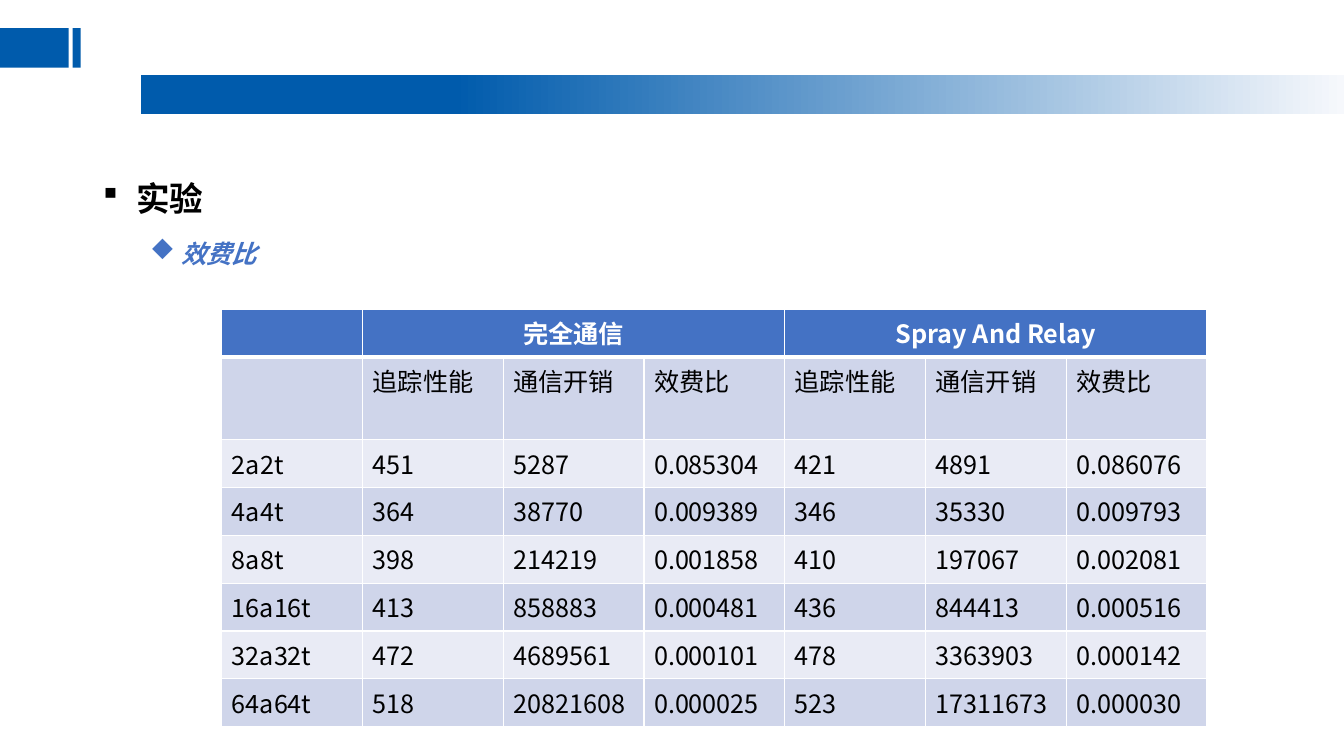
from dataclasses import dataclass

from lxml import etree
from pptx import Presentation
from pptx.dml.color import RGBColor
from pptx.enum.shapes import MSO_SHAPE
from pptx.enum.text import MSO_ANCHOR, PP_ALIGN
from pptx.oxml.ns import qn
from pptx.util import Inches, Pt

RECT = MSO_SHAPE.RECTANGLE
MIDDLE = MSO_ANCHOR.MIDDLE
LEFT, CENTER = PP_ALIGN.LEFT, PP_ALIGN.CENTER
FONT = "Noto Sans CJK SC"
NAVY, BLUE, WHITE, BLACK = "005BAC", "4472C4", "FFFFFF", "000000"
BANDS = ("CFD5EA", "E9EBF5")


@dataclass
class Bar:
    left: float
    top: float
    width: float
    height: float
    color: str
    fade: str = ""


BARS = [
    Bar(1.4, 0.74, 11.93, 0.39, NAVY, fade="F6F8FC"),
    Bar(0, 0.28, 0.68, 0.39, NAVY),
    Bar(0.72, 0.28, 0.08, 0.39, NAVY),
]
SUBTITLE_BAR = Bar(1.39, 2.31, 10.92, 0.4, WHITE)

GROUPS = ["完全通信", "Spray And Relay"]
MEASURES = ["追踪性能", "通信开销", "效费比"]
ROWS = [
    ["", *MEASURES * len(GROUPS)],
    ["2a2t", "451", "5287", "0.085304", "421", "4891", "0.086076"],
    ["4a4t", "364", "38770", "0.009389", "346", "35330", "0.009793"],
    ["8a8t", "398", "214219", "0.001858", "410", "197067", "0.002081"],
    ["16a16t", "413", "858883", "0.000481", "436", "844413", "0.000516"],
    ["32a32t", "472", "4689561", "0.000101", "478", "3363903", "0.000142"],
    ["64a64t", "518", "20821608", "0.000025", "523", "17311673", "0.000030"],
]
TABLE_WIDTH, TABLE_HEIGHT, MEASURE_HEIGHT = 9.77, 4.14, 0.82


def rgb(value: str) -> RGBColor:
    return RGBColor.from_string(value)


def write(p, text: str, *, size: float = 18, color: str = BLACK, bold: bool = False,
          italic: bool = False, align=LEFT, bullet: str = "", indent: float = 0) -> None:
    if bullet:
        pPr = p._p.get_or_add_pPr()
        pPr.set("marL", str(Inches(indent)))
        pPr.set("indent", str(-Inches(indent)))
        etree.SubElement(pPr, qn("a:buFont"), typeface="Wingdings")
        etree.SubElement(pPr, qn("a:buChar"), char=bullet)
    p.alignment = align
    p.space_before = Pt(0)
    r = p.add_run()
    r.text = text
    font = r.font
    font.size, font.bold, font.italic, font.name = Pt(size), bold, italic, FONT
    font.color.rgb = rgb(color)
    etree.SubElement(r._r.get_or_add_rPr(), qn("a:ea"), typeface=FONT)


def add_bar(s, bar: Bar):
    sp = s.shapes.add_shape(RECT, Inches(bar.left), Inches(bar.top),
                            Inches(bar.width), Inches(bar.height))
    sp.shadow.inherit = False
    sp.line.fill.background()
    if bar.fade:
        sp.fill.gradient()
        sp.fill.gradient_angle = 0
        start, end = sp.fill.gradient_stops
        start.position, start.color.rgb = 0.26, rgb(bar.color)
        end.position, end.color.rgb = 1, rgb(bar.fade)
    else:
        sp.fill.solid()
        sp.fill.fore_color.rgb = rgb(bar.color)
    return sp


def style_cell(cell, fill: str, top: float = 1, bottom: float = 1) -> None:
    tcPr = cell._tc.get_or_add_tcPr()
    for side, width in (("L", 1), ("R", 1), ("T", top), ("B", bottom)):
        ln = etree.SubElement(tcPr, qn(f"a:ln{side}"), w=str(Pt(width)))
        solid = etree.SubElement(ln, qn("a:solidFill"))
        etree.SubElement(solid, qn("a:srgbClr"), val=WHITE)
    cell.fill.solid()
    cell.fill.fore_color.rgb = rgb(fill)


def add_results(s) -> None:
    n_rows, n_cols = len(ROWS) + 1, len(ROWS[0])
    table = s.shapes.add_table(n_rows, n_cols, Inches(2.2), Inches(3.07),
                               Inches(TABLE_WIDTH), Inches(TABLE_HEIGHT)).table
    for column in table.columns:
        column.width = Inches(TABLE_WIDTH / n_cols)
    for row in table.rows:
        row.height = Inches((TABLE_HEIGHT - MEASURE_HEIGHT) / (n_rows - 1))
    table.rows[1].height = Inches(MEASURE_HEIGHT)

    for j in range(n_cols):
        style_cell(table.cell(0, j), BLUE, bottom=3)
    for k, group in enumerate(GROUPS):
        first = 1 + k * len(MEASURES)
        cell = table.cell(0, first)
        cell.merge(table.cell(0, first + len(MEASURES) - 1))
        write(cell.text_frame.paragraphs[0], group, color=WHITE, bold=True, align=CENTER)

    for i, values in enumerate(ROWS):
        for j, value in enumerate(values):
            cell = table.cell(i + 1, j)
            style_cell(cell, BANDS[i % 2], top=1 if i else 3)
            if value:
                write(cell.text_frame.paragraphs[0], value)


def main() -> None:
    prs = Presentation()
    prs.slide_width, prs.slide_height = Inches(13.33), Inches(7.5)
    s = prs.slides.add_slide(prs.slide_layouts[1])
    title = s.shapes.title._element
    title.getparent().remove(title)

    for bar in BARS:
        add_bar(s, bar)

    body = s.placeholders[1]
    body.left, body.top = Inches(0.92), Inches(1.37)
    body.width, body.height = Inches(10.11), Inches(5.59)
    tf = body.text_frame
    tf.margin_top = Inches(0.19)
    p = tf.paragraphs[0]
    write(p, "实验", size=24, bold=True, bullet="§", indent=0.33)
    p.line_spacing = 1.5

    tf = add_bar(s, SUBTITLE_BAR).text_frame
    tf.word_wrap = True
    tf.vertical_anchor = MIDDLE
    write(tf.paragraphs[0], "效费比", color=BLUE, bold=True, italic=True,
          bullet="u", indent=0.31)

    add_results(s)
    prs.save("out.pptx")


if __name__ == "__main__":
    main()
